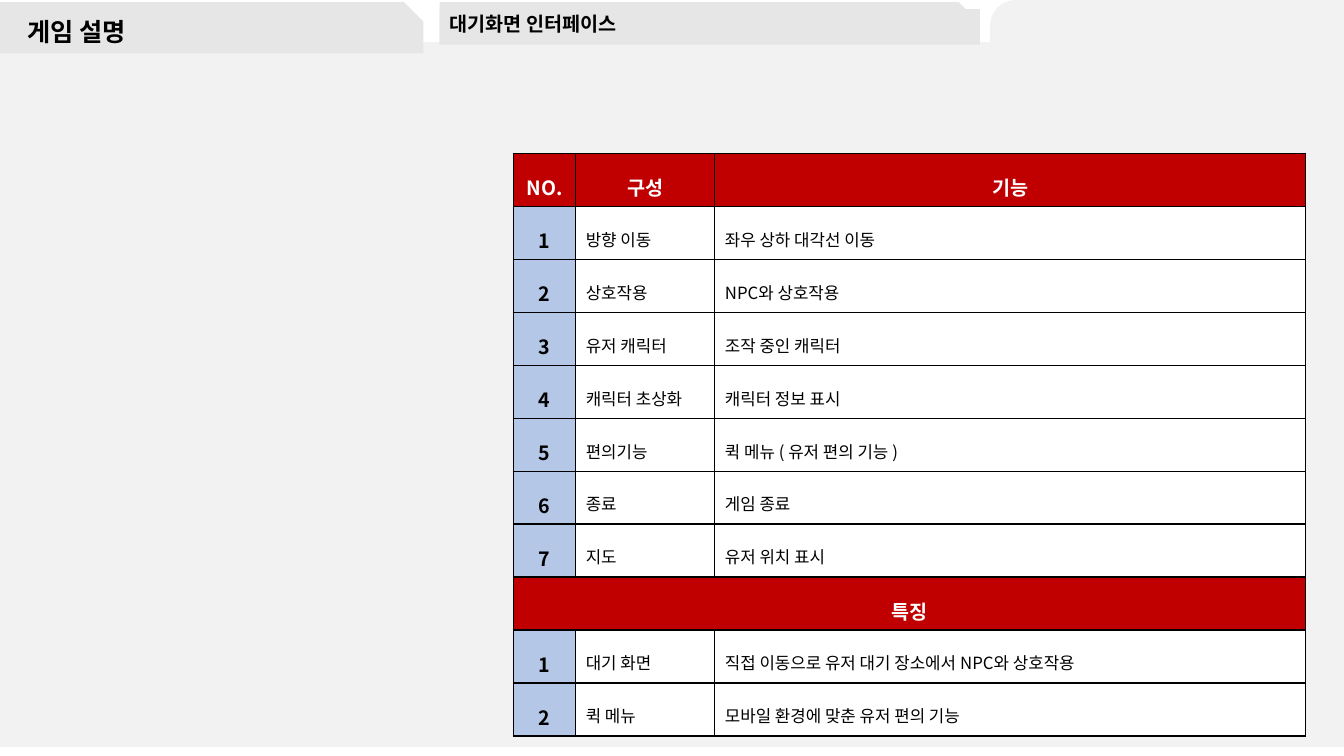
from lxml.etree import SubElement
from pptx import Presentation
from pptx.dml.color import RGBColor
from pptx.enum.shapes import MSO_SHAPE as Shape
from pptx.enum.text import MSO_ANCHOR as Anchor, MSO_AUTO_SIZE as AutoSize, PP_ALIGN as Align
from pptx.oxml.ns import qn
from pptx.util import Inches, Pt

COLORS = {
    "panel": "F2F2F2",
    "tab": "E7E6E6",
    "header": "C00000",
    "number": "B4C7E7",
    "white": "FFFFFF",
    "black": "000000",
}
HEADING_FONT = "Arial"
TABLE_FONT = "Noto Sans CJK KR"
COLUMN_WIDTHS = [0.62, 1.38, 5.86]
ROW_HEIGHT = 0.45
HEADER = ("NO.", "구성", "기능")
FUNCTIONS = [
    ("방향 이동", "좌우 상하 대각선 이동"),
    ("상호작용", "NPC와 상호작용"),
    ("유저 캐릭터", "조작 중인 캐릭터"),
    ("캐릭터 초상화", "캐릭터 정보 표시"),
    ("편의기능", "퀵 메뉴 ( 유저 편의 기능 )"),
    ("종료", "게임 종료"),
    ("지도", "유저 위치 표시"),
]
FEATURES = [
    ("대기 화면", "직접 이동으로 유저 대기 장소에서 NPC와 상호작용"),
    ("퀵 메뉴", "모바일 환경에 맞춘 유저 편의 기능"),
]


class SlideBuilder:
    """Holds the style and the current slide, and adds each kind of element."""

    def __init__(self, presentation):
        self.slide = presentation.slides.add_slide(presentation.slide_layouts[1])

    def color(self, name):
        return RGBColor.from_string(COLORS[name])

    def fill(self, target, name):
        target.fill.solid()
        target.fill.fore_color.rgb = self.color(name)

    def panel(self, kind, box, color, adjustment=None, flip=False):
        shape = self.slide.shapes.add_shape(kind, *map(Inches, box))
        shape.shadow.inherit = False
        self.fill(shape, color)
        shape.line.fill.background()
        if adjustment is not None:
            shape.adjustments[0] = adjustment
        if flip:
            shape._element.spPr.find(qn("a:xfrm")).set("flipH", "1")

    def set_text(self, frame, text, font, size, color="black", bold=True, align=Align.LEFT, spacing=0.9):
        frame.text = text
        paragraph = frame.paragraphs[0]
        paragraph.alignment = align
        paragraph.line_spacing = spacing
        paragraph.space_before = Pt(0)
        for run in paragraph.runs:
            run.font.name = font
            run.font.size = Pt(size)
            run.font.bold = bold
            run.font.color.rgb = self.color(color)
            SubElement(run.font._element, qn("a:ea"), typeface=TABLE_FONT)
        return paragraph

    def heading(self, placeholder, box, text, size, anchor):
        placeholder.left, placeholder.top, placeholder.width, placeholder.height = map(Inches, box)
        self.slide.shapes._spTree.append(placeholder._element)
        frame = placeholder.text_frame
        paragraph = self.set_text(frame, text, HEADING_FONT, size)
        frame.auto_size = AutoSize.NONE
        frame.word_wrap = True
        frame.vertical_anchor = anchor
        properties = paragraph._p.get_or_add_pPr()
        properties.set("marL", "0")
        properties.set("indent", "0")
        SubElement(properties, qn("a:buNone"))

    def border(self, cell):
        properties = cell._tc.get_or_add_tcPr()
        for position, side in enumerate(("lnL", "lnR", "lnT", "lnB")):
            line = SubElement(properties, qn(f"a:{side}"), w=str(Pt(1)))
            properties.insert(position, line)
            solid = SubElement(line, qn("a:solidFill"))
            SubElement(solid, qn("a:srgbClr"), val=COLORS["black"])

    def cell(self, cell, text, fill, **style):
        self.set_text(cell.text_frame, text, TABLE_FONT, spacing=1.5, **style)
        cell.vertical_anchor = Anchor.MIDDLE
        self.fill(cell, fill)
        self.border(cell)

    def table(self, left, top, rows):
        height = ROW_HEIGHT * len(rows)
        frame = self.slide.shapes.add_table(
            len(rows), len(COLUMN_WIDTHS),
            *map(Inches, (left, top, sum(COLUMN_WIDTHS), height)))
        table = frame.table
        for column, width in zip(table.columns, COLUMN_WIDTHS):
            column.width = Inches(width)
        header = dict(fill="header", size=14, color="white", align=Align.CENTER)
        number = dict(fill="number", size=14, align=Align.CENTER)
        body = dict(fill="white", size=12, bold=False)
        for row_index, row in enumerate(rows):
            is_header = not row[0].isdigit()
            for column_index, text in enumerate(row):
                style = header if is_header else body if column_index else number
                self.cell(table.cell(row_index, column_index), text, **style)
            if not any(row[1:]):
                table.cell(row_index, 0).merge(table.cell(row_index, len(row) - 1))


def numbered(items):
    return [(str(number), *item) for number, item in enumerate(items, 1)]


def main():
    presentation = Presentation()
    presentation.slide_width = Inches(13.33)
    presentation.slide_height = Inches(7.5)
    builder = SlideBuilder(presentation)
    title, body = builder.slide.placeholders

    builder.panel(Shape.FLOWCHART_PROCESS, (0, 0.42, 13.33, 6.99), "panel")
    builder.panel(Shape.SNIP_1_RECTANGLE, (0, 0.02, 4.2, 0.51), "tab", 0.38)
    builder.panel(Shape.ROUND_1_RECTANGLE, (9.82, 0, 3.51, 0.51), "panel", 0.5, flip=True)
    builder.panel(Shape.SNIP_1_RECTANGLE, (4.36, 0.02, 5.36, 0.42), "tab", 0.5)

    builder.heading(title, (0.17, 0.13, 4.03, 0.4), "게임 설명", 18, Anchor.MIDDLE)
    builder.heading(body, (4.36, 0.09, 5.36, 0.35), "대기화면 인터페이스", 14, Anchor.TOP)
    builder.fill(body, "tab")

    rows = [HEADER, *numbered(FUNCTIONS), ("특징", "", ""), *numbered(FEATURES)]
    builder.table(5.09, 1.52, rows)
    presentation.save("out.pptx")


if __name__ == "__main__":
    main()
